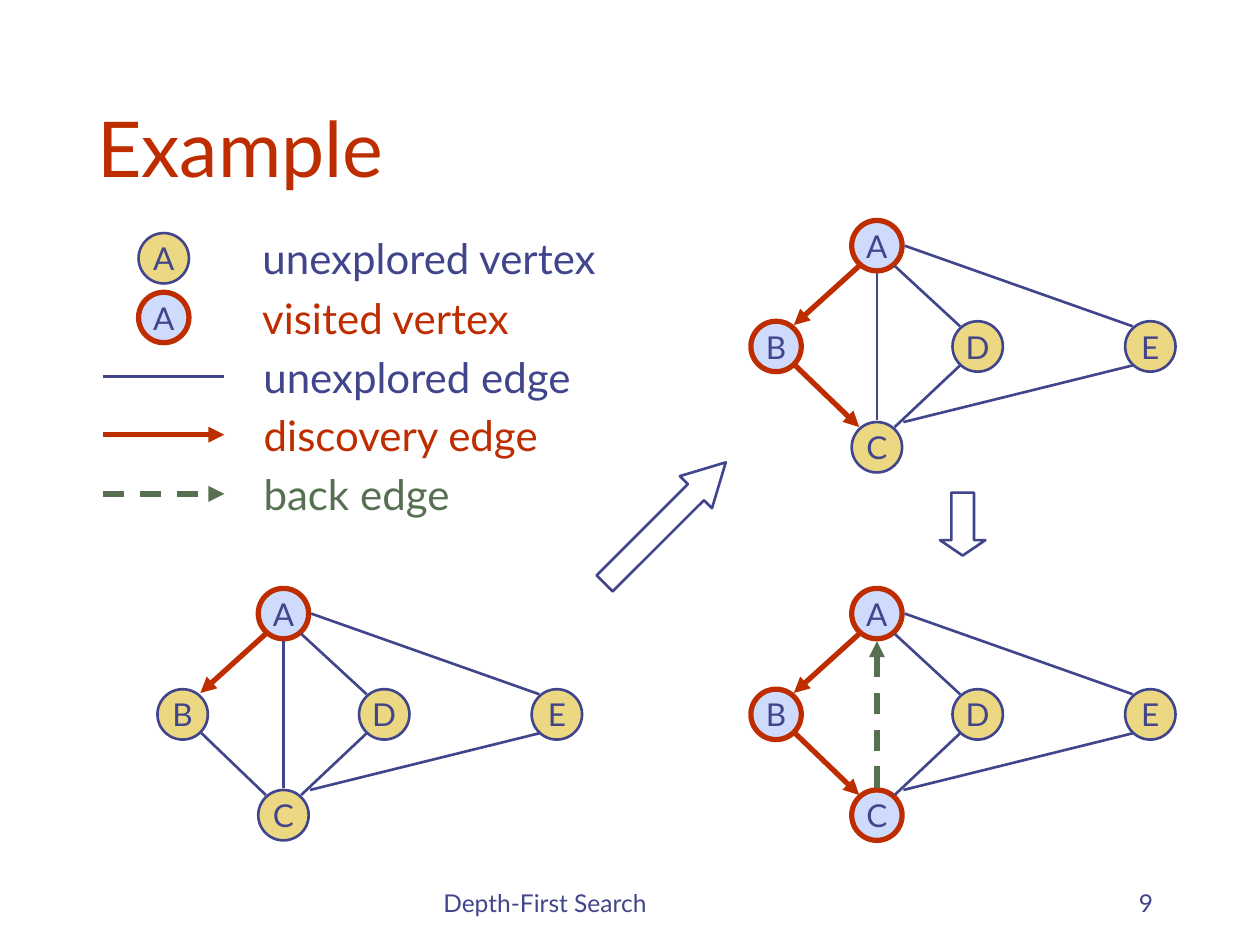
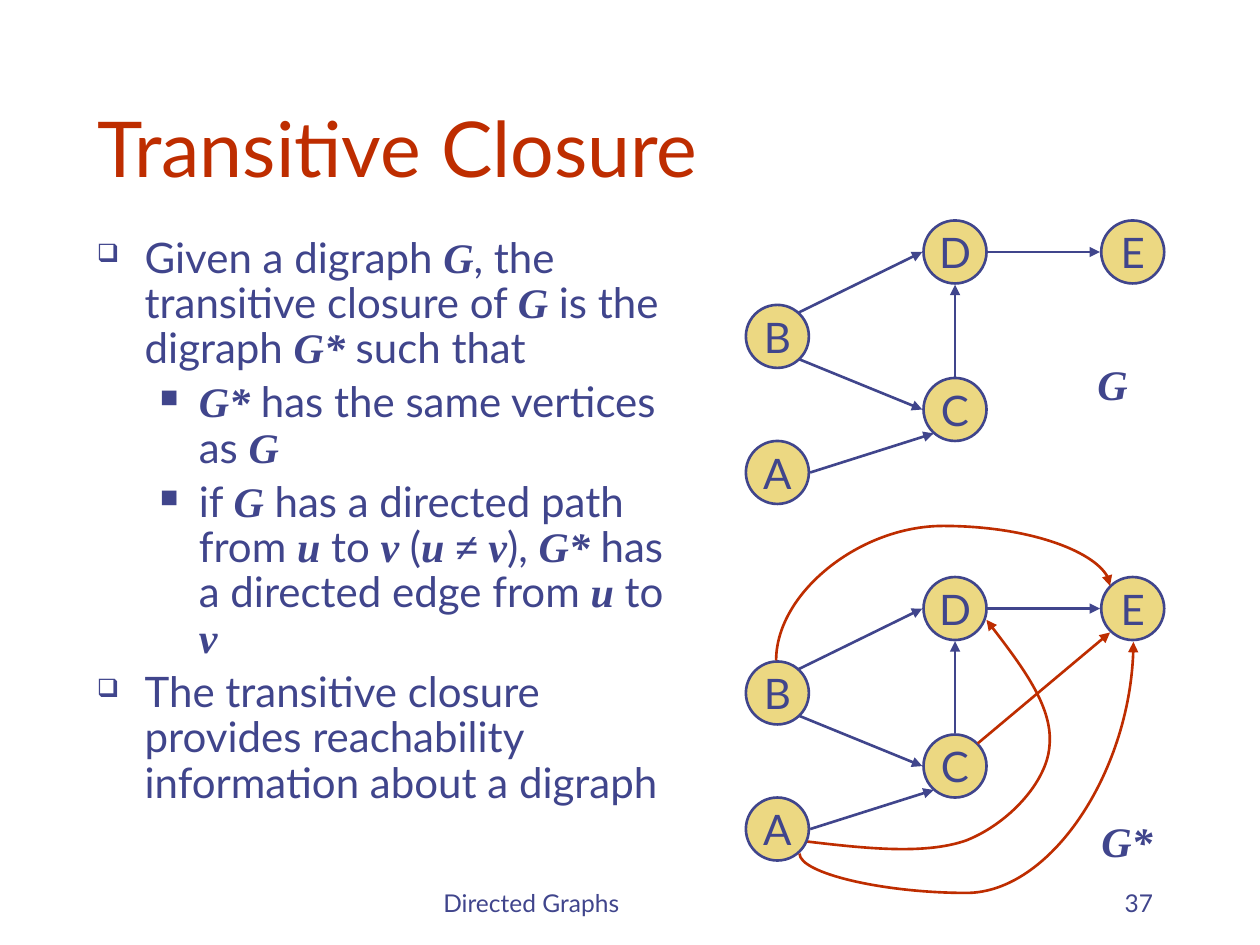
from dataclasses import dataclass, field

from lxml import etree
from pptx import Presentation
from pptx.dml.color import RGBColor
from pptx.enum.dml import MSO_LINE
from pptx.enum.shapes import MSO_CONNECTOR, MSO_SHAPE
from pptx.enum.text import MSO_ANCHOR, PP_ALIGN
from pptx.oxml.ns import qn
from pptx.util import Pt

PX = 9144  # 100 px to the inch
LEFT, CENTER, RIGHT = PP_ALIGN.LEFT, PP_ALIGN.CENTER, PP_ALIGN.RIGHT
TOP, MIDDLE, BOTTOM = MSO_ANCHOR.TOP, MSO_ANCHOR.MIDDLE, MSO_ANCHOR.BOTTOM
STRAIGHT, CURVE = MSO_CONNECTOR.STRAIGHT, MSO_CONNECTOR.CURVE
OVAL, ARROW = MSO_SHAPE.OVAL, MSO_SHAPE.RIGHT_ARROW
DASH = MSO_LINE.DASH
SANS, SERIF = "Lato", "Times New Roman"
HEX = {"ink": "40458C", "red": "BE2D00", "green": "577052",
       "gold": "ECD882", "pale": "CFDBFD"}


@dataclass(frozen=True)
class Pen:
    hue: str
    width: float
    head: bool = False
    dash: bool = False


PLAIN = Pen("ink", 1.5)
FOUND = Pen("red", 3, head=True)
BACK = Pen("green", 3, head=True, dash=True)
RING = Pen("red", 3)
LINK = Pen("ink", 1.5, head=True)
NEW = Pen("red", 1.5, head=True)


@dataclass(frozen=True)
class Net:
    """A graph: vertex corners and edge ends, relative to its origin."""
    size: int
    font: int
    nodes: dict
    edges: dict


@dataclass(frozen=True)
class State:
    x: int
    y: int
    seen: str = ""
    pens: dict = field(default_factory=dict)


@dataclass(frozen=True)
class Bend:
    """A curved arrow: its box before turning, turn, flip and bend."""
    box: tuple
    turn: int
    flip: bool
    bend: int


SEARCH = Net(
    40, 18,
    {"D": (160, 80), "B": (0, 80), "A": (80, 0), "C": (80, 160),
     "E": (297, 80)},
    {"AB": (86, 36, 34, 83), "BC": (34, 114, 86, 164),
     "CD": (114, 164, 166, 115), "AD": (114, 36, 166, 84),
     "CA": (100, 158, 100, 42), "CE": (121, 160, 303, 115),
     "EA": (303, 84, 122, 20)})
STEPS = [
    State(125, 467, "A", {"AB": FOUND}),
    State(596, 175, "AB", {"AB": FOUND, "BC": FOUND}),
    State(596, 467, "ABC", {"AB": FOUND, "BC": FOUND, "CA": BACK})]

DIGRAPH = Net(
    50, 24,
    {"B": (0, 67), "A": (0, 175), "D": (141, 0), "C": (141, 125),
     "E": (282, 0)},
    {"BD": (42, 73, 140, 25), "BC": (42, 110, 140, 150),
     "DE": (192, 25, 281, 25), "CD": (166, 124, 166, 51),
     "AC": (51, 200, 149, 169)})

# Key rows: label, its box width, its colour, and the sample beside it
KEY = [("unexplored vertex", 285, "ink", False),
       ("visited vertex", 216, "red", True),
       ("unexplored edge", 266, "ink", PLAIN),
       ("discovery edge", 240, "red", FOUND),
       ("back edge", 170, "green", BACK)]

# Body text: level and runs, with *...* marking the math words
BODY = [
    (0, ["Given a digraph ", "*G", ", the transitive closure of ", "*G",
         " is the digraph ", "*G*", " such that"]),
    (1, ["*G*", " has the same vertices as ", "*G"]),
    (1, ["if ", "*G", " has a directed path from ", "*u", " to ", "*v ",
         "(", "*u ≠ v", "), ", "*G*", " has a directed edge from ", "*u",
         " to ", "*v"]),
    (0, ["The transitive closure provides reachability information about "
         "a digraph"])]
LEVELS = [("❑", 38, 38), ("■", 81, 31)]  # bullet, margin, hang

BENDS = [Bend((719, 362, 59, 265), 270, False, 180700),
         Bend((683, 461, 168, 265), 90, True, -18600)]
SWEEP = [(633, 667), (683, 673), (733, 679), (767, 667), (800, 654),
         (831, 621), (833, 592), (836, 562), (810, 527), (783, 492)]


def px(*nums: int) -> list:
    return [num * PX for num in nums]


def tint(name: str) -> RGBColor:
    return RGBColor.from_string(HEX[name])


def sub(node, tag: str, **attrs: str):
    return etree.SubElement(node, qn(tag), attrs)


# Text
def add_run(para, text: str, size: int, hue: str = "ink",
            math: bool = False) -> None:
    run = para.add_run()
    run.text = text
    font = run.font
    font.name = SERIF if math else SANS
    font.size = Pt(size)
    font.bold = font.italic = math
    font.color.rgb = tint(hue)


def label(shapes, box: tuple, text: str, size: int, hue: str = "ink",
          align=CENTER, anchor=TOP, wrap: bool = False,
          math: bool = False) -> None:
    frame = shapes.add_textbox(*px(*box)).text_frame
    frame.word_wrap = wrap
    frame.vertical_anchor = anchor
    para = frame.paragraphs[0]
    para.alignment = align
    add_run(para, text, size, hue, math)


def add_body(slide) -> None:
    frame = slide.shapes.add_textbox(*px(67, 183, 483, 475)).text_frame
    frame.word_wrap = True
    for i, (level, runs) in enumerate(BODY):
        para = frame.add_paragraph() if i else frame.paragraphs[0]
        mark, margin, hang = LEVELS[level]
        props = para._p.get_or_add_pPr()
        props.set("marL", str(margin * PX))
        props.set("indent", str(-hang * PX))
        sub(sub(props, "a:buClr"), "a:srgbClr", val=HEX["ink"])
        sub(props, "a:buSzPct", val="60000")
        sub(props, "a:buChar", char=mark)
        para.level = level
        para.line_spacing = 0.9
        para.space_before = Pt(5 if i else 0)
        for text in runs:
            math = text.startswith("*")
            add_run(para, text[1:] if math else text, 24, math=math)


# Lines and shapes
def ink(shape, pen: Pen) -> None:
    line = shape.line
    line.color.rgb = tint(pen.hue)
    line.width = Pt(pen.width)
    if pen.dash:
        line.dash_style = DASH
    if pen.head:
        sub(line._get_or_add_ln(), "a:tailEnd", type="triangle")


def add_edge(shapes, ends: tuple, pen: Pen, kind=STRAIGHT):
    edge = shapes.add_connector(kind, *px(*ends))
    ink(edge, pen)
    sub(edge._element.spPr, "a:effectLst")
    return edge


def add_node(shapes, x: int, y: int, name: str, net: Net,
             seen: bool = False) -> None:
    node = shapes.add_shape(OVAL, *px(x, y, net.size, net.size))
    node.shadow.inherit = False
    node.fill.solid()
    node.fill.fore_color.rgb = tint("pale" if seen else "gold")
    ink(node, RING if seen else PLAIN)
    frame = node.text_frame
    frame.margin_left = frame.margin_right = 0
    frame.margin_top = frame.margin_bottom = 0
    frame.word_wrap = False
    frame.vertical_anchor = MIDDLE
    para = frame.paragraphs[0]
    para.alignment = CENTER
    add_run(para, name, net.font)


def add_net(slide, net: Net, state: State, pen: Pen) -> None:
    shapes = slide.shapes.add_group_shape().shapes
    x, y = state.x, state.y
    for name, (dx, dy) in net.nodes.items():
        add_node(shapes, x + dx, y + dy, name, net, name in state.seen)
    for name, (x1, y1, x2, y2) in net.edges.items():
        add_edge(shapes, (x + x1, y + y1, x + x2, y + y2),
                 state.pens.get(name, pen))


def add_arrow(slide, box: tuple, turn: int, tip: float) -> None:
    arrow = slide.shapes.add_shape(ARROW, *px(*box))
    arrow.shadow.inherit = False
    arrow.fill.background()
    ink(arrow, PLAIN)
    arrow.adjustments[1] = tip
    arrow.rotation = turn


def add_bend(slide, bend: Bend) -> None:
    x, y, wide, high = bend.box
    edge = add_edge(slide.shapes, (x, y, x + wide, y + high), NEW, CURVE)
    props = edge._element.spPr
    frame = props.find(qn("a:xfrm"))
    frame.set("rot", str(bend.turn * 60000))
    if bend.flip:
        frame.set("flipH", "1")
        frame.set("flipV", "1")
    geom = props.find(qn("a:prstGeom"))
    geom.set("prst", "curvedConnector3")
    guides = geom.find(qn("a:avLst"))
    if guides is None:
        guides = sub(geom, "a:avLst")
    sub(guides, "a:gd", name="adj1", fmla=f"val {bend.bend}")


def add_sweep(slide) -> None:
    pen = slide.shapes.build_freeform(*SWEEP[0], scale=PX)
    pen.add_line_segments(SWEEP[1:], close=False)
    sweep = pen.convert_to_shape()
    sweep.shadow.inherit = False
    sweep.fill.background()
    ink(sweep, NEW)
    # Turn each three line steps into one cubic curve
    steps = list(sweep._element.iter(qn("a:lnTo")))
    for i in range(0, len(steps), 3):
        cubic = sub(steps[i].getparent(), "a:cubicBezTo")
        for step in steps[i:i + 3]:
            cubic.append(step[0])
            step.getparent().remove(step)


# Slides
def new_slide(deck, title: str, foot: str, page: str):
    slide = deck.slides.add_slide(deck.slide_layouts[5])
    head = slide.shapes.title
    head.left, head.top, head.width, head.height = px(67, 33, 850, 125)
    head.text_frame.vertical_anchor = BOTTOM
    para = head.text_frame.paragraphs[0]
    para.alignment = LEFT
    add_run(para, title, 44, "red")
    for box, text, align in [((342, 683, 317, 50), foot, LEFT),
                             ((717, 683, 208, 50), page, RIGHT)]:
        label(slide.shapes, box, text, 14, align=align, anchor=BOTTOM,
              wrap=True)
    return slide


def search_slide(deck) -> None:
    slide = new_slide(deck, "Example", "Depth-First Search", "9")
    for state in STEPS:
        add_net(slide, SEARCH, state, PLAIN)
    for i, (text, wide, hue, sample) in enumerate(KEY):
        y = 180 + round(i * 46.75)
        label(slide.shapes, (198, y, wide, 50), text, 24, hue)
        if isinstance(sample, Pen):
            add_edge(slide.shapes, (82, y + 25, 178, y + 25), sample)
        else:
            add_node(slide.shapes, 110, y + 5, "A", SEARCH, sample)
    add_arrow(slide, (739, 398, 50, 36), 90, 0.34)
    add_arrow(slide, (460, 397, 136, 36), 315, 0.93)


def closure_slide(deck) -> None:
    slide = new_slide(deck, "Transitive Closure", "Directed Graphs", "37")
    add_sweep(slide)
    add_body(slide)
    for y in (175, 458):
        add_net(slide, DIGRAPH, State(592, y), LINK)
    for bend in BENDS:
        add_bend(slide, bend)
    add_edge(slide.shapes, (776, 590, 881, 502), NEW)
    label(slide.shapes, (861, 280, 44, 50), "G", 24, math=True)
    label(slide.shapes, (864, 642, 61, 50), "G*", 24, math=True)


def main() -> None:
    deck = Presentation()
    deck.slide_width, deck.slide_height = px(1000, 750)
    search_slide(deck)
    closure_slide(deck)
    deck.save("out.pptx")


if __name__ == "__main__":
    main()
